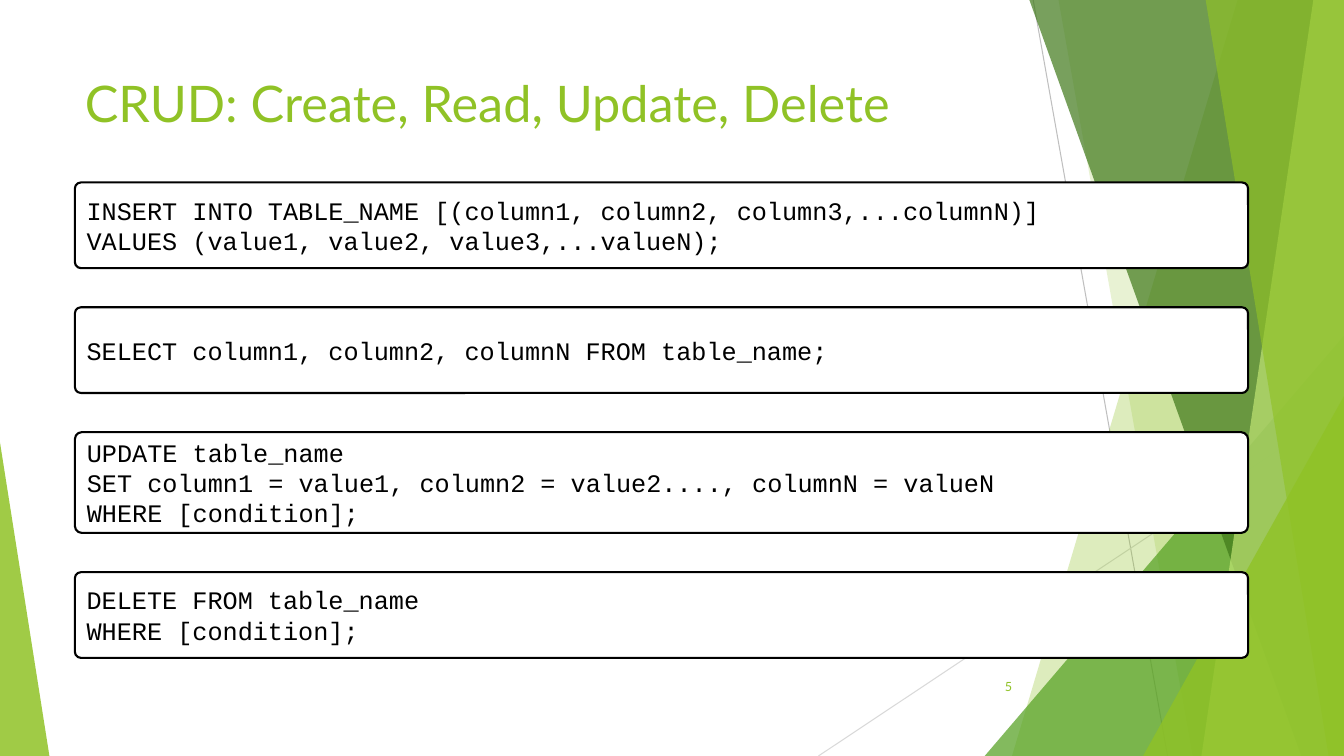
from dataclasses import dataclass

import pptx
import pptx.dml.color
import pptx.enum.shapes
import pptx.enum.text
import pptx.oxml
import pptx.oxml.ns
import pptx.shapes.autoshape
import pptx.slide
import pptx.text.text
import pptx.util

Pt = pptx.util.Pt
SHAPE = pptx.enum.shapes.MSO_SHAPE
ANCHOR = pptx.enum.text.MSO_ANCHOR
ALIGN = pptx.enum.text.PP_ALIGN

SLIDE_WIDTH, SLIDE_HEIGHT = 960, 540
BAND_TOP = -0.6
BOX_LEFT, BOX_TOP, BOX_WIDTH, BOX_GAP = 53.5, 130.3, 838, 28


@dataclass(frozen=True)
class Theme:
    lime: str = "90C226"
    green: str = "54A021"
    forest: str = "3F7819"
    pale: str = "C0E474"
    grey: str = "BFBFBF"
    light_grey: str = "D9D9D9"
    white: str = "FFFFFF"
    black: str = "000000"
    text_font: str = "Lato"
    code_font: str = "Courier New"
    title_size: float = 36
    code_size: float = 18
    number_size: float = 9


THEME = Theme()


@dataclass(frozen=True)
class Ray:
    start: tuple[float, float]
    end: tuple[float, float]
    color: str


@dataclass(frozen=True)
class Band:
    top_left: float
    bottom_left: float
    color: str
    opacity: int


@dataclass(frozen=True)
class Wedge:
    left: float
    top: float
    width: float
    apex: float
    color: str
    opacity: int


@dataclass(frozen=True)
class CodeBox:
    height: float
    lines: tuple[str, ...]


RAYS = (
    Ray((738, 0), (834, 540), THEME.grey),
    Ray((960, 290.2), (584.6, 540), THEME.light_grey),
)
FACETS = (
    Band(884.2, 722.9, THEME.lime, 30),
    Band(756, 851.8, THEME.lime, 20),
    Wedge(703.4, 239.8, 256.6, 1, THEME.green, 72),
    Band(735.1, 929.5, THEME.forest, 70),
    Band(938.2, 858.2, THEME.pale, 70),
    Band(861.1, 949, THEME.lime, 65),
    Wedge(816.5, 283, 143.5, 1, THEME.lime, 80),
    Wedge(0, 316.1, 35.3, 0, THEME.lime, 85),
)
CODE_BOXES = (
    CodeBox(61.2, ("INSERT INTO TABLE_NAME [(column1, column2, column3,...columnN)]",
                   "VALUES (value1, value2, value3,...valueN);")),
    CodeBox(61.2, ("SELECT column1, column2, columnN FROM table_name;",)),
    CodeBox(72, ("UPDATE table_name",
                 "SET column1 = value1, column2 = value2...., columnN = valueN",
                 "WHERE [condition];")),
    CodeBox(61.2, ("DELETE FROM table_name", "WHERE [condition];")),
)


def rgb(color: str) -> pptx.dml.color.RGBColor:
    return pptx.dml.color.RGBColor.from_string(color)


def add_ray(slide: pptx.slide.Slide, ray: Ray) -> None:
    connector = slide.shapes.add_connector(
        pptx.enum.shapes.MSO_CONNECTOR.STRAIGHT, *map(Pt, ray.start + ray.end))
    connector.line.color.rgb = rgb(ray.color)
    connector.line.width = Pt(0.75)
    connector._element.spPr.append(pptx.oxml.parse_xml(
        f"<a:effectLst {pptx.oxml.ns.nsdecls('a')}/>"))


def fill_solid(shape: pptx.shapes.autoshape.Shape, color: str) -> None:
    shape.shadow.inherit = False
    shape.fill.solid()
    shape.fill.fore_color.rgb = rgb(color)


def add_facet(slide: pptx.slide.Slide, facet: Band | Wedge) -> None:
    """Draw a translucent band reaching the right edge, or a wedge on the bottom edge."""
    if isinstance(facet, Band):
        builder = slide.shapes.build_freeform(Pt(facet.top_left), Pt(BAND_TOP))
        builder.add_line_segments([
            (Pt(SLIDE_WIDTH), Pt(BAND_TOP)),
            (Pt(SLIDE_WIDTH), Pt(SLIDE_HEIGHT)),
            (Pt(facet.bottom_left), Pt(SLIDE_HEIGHT)),
        ], close=True)
        shape = builder.convert_to_shape()
    else:
        shape = slide.shapes.add_shape(
            SHAPE.ISOSCELES_TRIANGLE, Pt(facet.left), Pt(facet.top),
            Pt(facet.width), Pt(SLIDE_HEIGHT - facet.top))
        shape.adjustments[0] = facet.apex
    fill_solid(shape, facet.color)
    shape.line.fill.background()
    color_element = next(shape._element.spPr.iter(pptx.oxml.ns.qn("a:srgbClr")))
    color_element.append(pptx.oxml.parse_xml(
        f"<a:alpha {pptx.oxml.ns.nsdecls('a')} val=\"{facet.opacity * 1000}\"/>"))


def write_lines(frame: pptx.text.text.TextFrame, lines: tuple[str, ...], font: str,
                size: float, color: str, anchor: ANCHOR = ANCHOR.MIDDLE,
                alignment: ALIGN = ALIGN.LEFT) -> None:
    frame.word_wrap = True
    frame.vertical_anchor = anchor
    for index, line in enumerate(lines):
        paragraph = frame.add_paragraph() if index else frame.paragraphs[0]
        paragraph.alignment = alignment
        run = paragraph.add_run()
        run.text = line
        run.font.name = font
        run.font.size = Pt(size)
        run.font.color.rgb = rgb(color)


def add_code_box(slide: pptx.slide.Slide, box: CodeBox, top: float) -> None:
    shape = slide.shapes.add_shape(SHAPE.ROUNDED_RECTANGLE, Pt(BOX_LEFT), Pt(top),
                                   Pt(BOX_WIDTH), Pt(box.height))
    shape.adjustments[0] = 0.07
    fill_solid(shape, THEME.white)
    shape.line.color.rgb = rgb(THEME.black)
    shape.line.width = Pt(1.5)
    write_lines(shape.text_frame, box.lines, THEME.code_font, THEME.code_size, THEME.black)


def main() -> None:
    presentation = pptx.Presentation()
    presentation.slide_width = Pt(SLIDE_WIDTH)
    presentation.slide_height = Pt(SLIDE_HEIGHT)
    slide = presentation.slides.add_slide(presentation.slide_layouts[6])

    for ray in RAYS:
        add_ray(slide, ray)
    for facet in FACETS:
        add_facet(slide, facet)

    title = slide.shapes.add_textbox(Pt(BOX_LEFT), Pt(48), Pt(676.8), Pt(104))
    write_lines(title.text_frame, ("CRUD: Create, Read, Update, Delete",),
                THEME.text_font, THEME.title_size, THEME.lime, ANCHOR.TOP)
    number = slide.shapes.add_textbox(Pt(676.1), Pt(475.9), Pt(54), Pt(28.8))
    write_lines(number.text_frame, ("5",), THEME.text_font, THEME.number_size,
                THEME.lime, alignment=ALIGN.RIGHT)

    top = BOX_TOP
    for box in CODE_BOXES:
        add_code_box(slide, box, top)
        top += box.height + BOX_GAP

    presentation.save("out.pptx")


if __name__ == "__main__":
    main()
